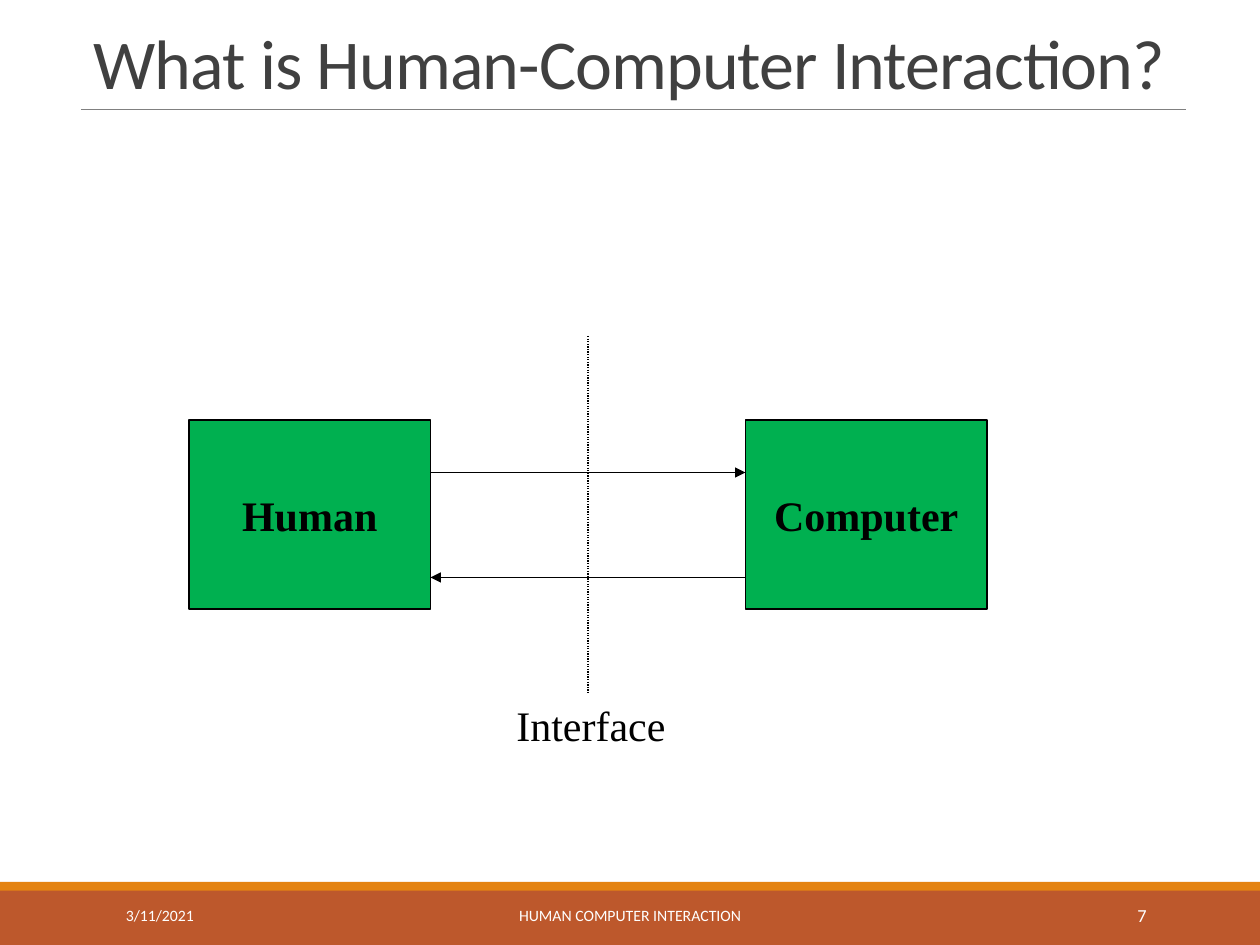
from pptx import Presentation
from pptx.dml.color import RGBColor
from pptx.enum import dml, shapes, text
from pptx.oxml import xmlchemy
from pptx.util import Pt


def colour(value):
    return RGBColor.from_string(value)


def write(frame, words, font="Calibri", size=9, ink="FFFFFF", bold=False,
          align=text.PP_ALIGN.LEFT, anchor=text.MSO_ANCHOR.MIDDLE,
          wrap=True, line_spacing=None, tracking=None):
    frame.word_wrap = wrap
    frame.auto_size = text.MSO_AUTO_SIZE.NONE
    frame.vertical_anchor = anchor
    paragraph = frame.paragraphs[0]
    paragraph.alignment = align
    paragraph.line_spacing = line_spacing
    run = paragraph.add_run()
    run.text = words
    run.font.name = font
    run.font.size = Pt(size)
    run.font.bold = bold
    run.font.color.rgb = colour(ink)
    if tracking is not None:
        run.font._element.set("spc", str(int(tracking * 100)))


class Diagram:
    ink = "000000"
    box_fill = "00B050"
    label_style = dict(font="Times New Roman", size=24, ink=ink)

    def __init__(self, slide):
        self.slide = slide

    def title(self, words, x, y, width, height):
        heading = self.slide.shapes.title
        heading.left, heading.top = Pt(x), Pt(y)
        heading.width, heading.height = Pt(width), Pt(height)
        write(heading.text_frame, words, size=40, ink="404040",
              anchor=text.MSO_ANCHOR.BOTTOM, line_spacing=0.85, tracking=-0.5)

    def band(self, x, y, width, height, fill):
        rectangle = self.slide.shapes.add_shape(
            shapes.MSO_SHAPE.RECTANGLE, Pt(x), Pt(y), Pt(width), Pt(height))
        rectangle.shadow.inherit = False
        rectangle.fill.solid()
        rectangle.fill.fore_color.rgb = colour(fill)
        rectangle.line.fill.background()
        return rectangle

    def box(self, words, x, y, width, height):
        rectangle = self.band(x, y, width, height, self.box_fill)
        rectangle.line.color.rgb = colour(self.ink)
        rectangle.line.width = Pt(0.75)
        write(rectangle.text_frame, words, bold=True, wrap=False,
              align=text.PP_ALIGN.CENTER, **self.label_style)

    def line(self, x1, y1, x2, y2, ink=ink, width=0.75, dash=None, arrow=False):
        connector = self.slide.shapes.add_connector(
            shapes.MSO_CONNECTOR.STRAIGHT, Pt(x1), Pt(y1), Pt(x2), Pt(y2))
        connector.line.color.rgb = colour(ink)
        connector.line.width = Pt(width)
        if dash:
            connector.line.dash_style = dash
        properties = connector._element.spPr
        properties.append(xmlchemy.OxmlElement("a:effectLst"))
        if arrow:
            head = xmlchemy.OxmlElement("a:tailEnd")
            head.set("type", "triangle")
            connector.line._get_or_add_ln().append(head)

    def label(self, words, x, y, width, height, **style):
        box = self.slide.shapes.add_textbox(Pt(x), Pt(y), Pt(width), Pt(height))
        write(box.text_frame, words, **style)


def main():
    deck = Presentation()
    deck.slide_width, deck.slide_height = Pt(720), Pt(540)
    diagram = Diagram(deck.slides.add_slide(deck.slide_layouts[5]))

    diagram.band(0, 508.5, 720, 31.5, "BD582C")
    diagram.band(0, 504, 720, 5, "E48312")
    diagram.line(46.25, 62.5, 677.75, 62.5, ink="808080", width=0.5)
    diagram.title("What is Human-Computer Interaction?", 46.25, 9.5, 631.5, 53.5)

    box_width, box_top = 138, 240
    human_left, computer_left = 108, 426
    human_right = human_left + box_width
    middle = (human_right + computer_left) / 2
    for words, left in (("Human", human_left), ("Computer", computer_left)):
        diagram.box(words, left, box_top, box_width, 108)

    diagram.line(middle, 192, middle, 396, dash=dml.MSO_LINE.ROUND_DOT)
    diagram.line(human_right, 270, computer_left, 270, arrow=True)
    diagram.line(computer_left, 330, human_right, 330, arrow=True)
    diagram.label("Interface", 288, 396, 102, 36,
                  anchor=text.MSO_ANCHOR.TOP, **diagram.label_style)

    footer = (
        ("3/11/2021", 64.8, 146, 9, text.PP_ALIGN.LEFT),
        ("HUMAN COMPUTER INTERACTION", 217.5, 285, 9, text.PP_ALIGN.CENTER),
        ("7", 584.5, 77.75, 10.5, text.PP_ALIGN.RIGHT),
    )
    for words, left, width, size, align in footer:
        diagram.label(words, left, 508.5, width, 28.75, size=size, align=align)

    deck.save("out.pptx")


if __name__ == "__main__":
    main()
